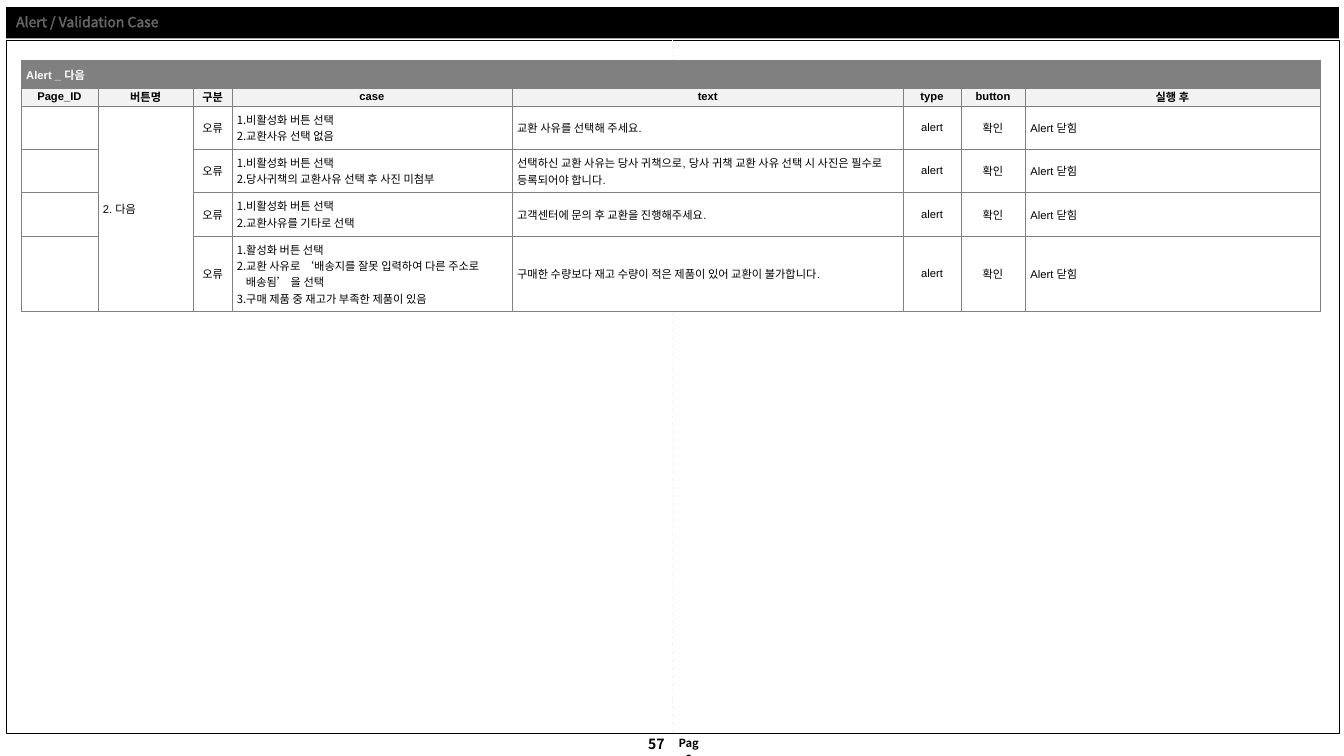
from dataclasses import dataclass

from lxml import etree
from pptx import Presentation
from pptx import util as u
from pptx.dml.color import RGBColor
from pptx.enum import dml, shapes, text
from pptx.oxml import ns


@dataclass(frozen=True)
class Theme:
    white: str = "FFFFFF"
    black: str = "000000"
    band: str = "808080"
    header: str = "F2F2F2"
    guide: str = "F2F2F2"
    latin: str = "Arial"
    korean: str = "Noto Sans CJK KR"
    small: int = 8
    normal: int = 10


THEME = Theme()
LEFT, CENTER, RIGHT = text.PP_ALIGN.LEFT, text.PP_ALIGN.CENTER, text.PP_ALIGN.RIGHT
MIDDLE = text.MSO_ANCHOR.MIDDLE

COLUMN_WIDTHS = [0.76, 0.95, 0.38, 2.78, 3.88, 0.57, 0.64, 2.92]
ROW_HEIGHTS = [0.27, 0.18, 0.43, 0.43, 0.43, 0.75]
HEADINGS = ["Page_ID", "버튼명", "구분", "case", "text", "type", "button", "실행 후"]
ALERTS = [
    (["비활성화 버튼 선택", "교환사유 선택 없음"],
     "교환 사유를 선택해 주세요."),
    (["비활성화 버튼 선택", "당사귀책의 교환사유 선택 후 사진 미첨부"],
     "선택하신 교환 사유는 당사 귀책으로, 당사 귀책 교환 사유 선택 시 사진은 필수로 등록되어야 합니다."),
    (["비활성화 버튼 선택", "교환사유를 기타로 선택"],
     "고객센터에 문의 후 교환을 진행해주세요."),
    (["활성화 버튼 선택",
      "교환 사유로 ‘배송지를 잘못 입력하여 다른 주소로 배송됨’ 을 선택",
      "구매 제품 중 재고가 부족한 제품이 있음"],
     "구매한 수량보다 재고 수량이 적은 제품이 있어 교환이 불가합니다."),
]


def apply(target, values):
    for name, value in values.items():
        setattr(target, name, value)


def color(value):
    return RGBColor.from_string(value)


def paint(target, value):
    target.fill.solid()
    target.fill.fore_color.rgb = color(value)


def add_xml(parent, tag, **attributes):
    return etree.SubElement(parent, ns.qn(tag), attributes)


def write(para, words, size=THEME.small, font=THEME.korean, ink=THEME.black,
          bold=False, align=LEFT):
    """Add one formatted run to a paragraph."""
    para.alignment = align
    span = para.add_run()
    span.text = words
    apply(span.font, {"size": u.Pt(size), "name": font, "bold": bold})
    span.font.color.rgb = color(ink)
    add_xml(span.font._element, "a:ea", typeface=THEME.korean)
    return span


def number(para):
    """Number a paragraph with a hanging indent."""
    props = para._p.get_or_add_pPr()
    apply_indent = u.Inches(0.09)
    props.set("marL", str(apply_indent))
    props.set("indent", str(-apply_indent))
    add_xml(props, "a:buFont", typeface="+mj-lt")
    add_xml(props, "a:buAutoNum", type="arabicPeriod")


def add_label(page, words, left, top, width, height, margins, **style):
    box = page.shapes.add_textbox(*map(u.Inches, (left, top, width, height)))
    frame = box.text_frame
    side, edge = map(u.Inches, margins)
    apply(frame, {"word_wrap": True, "margin_left": side, "margin_right": side,
                  "margin_top": edge, "margin_bottom": edge})
    write(frame.paragraphs[0], words, bold=True, **style)


def add_title(page, words):
    title = page.shapes.title
    apply(title, {"left": u.Inches(0.06), "top": u.Inches(0.07),
                  "width": u.Inches(13.22), "height": u.Inches(0.31)})
    paint(title, THEME.black)
    apply(title.text_frame, {"vertical_anchor": MIDDLE, "word_wrap": True,
                             "auto_size": text.MSO_AUTO_SIZE.NONE})
    para = title.text_frame.paragraphs[0]
    para.line_spacing = 0.9
    span = write(para, words, size=THEME.normal, ink=THEME.white)
    # Translucent outline around the letters
    outline = etree.Element(ns.qn("a:ln"), {"w": str(u.Pt(0.75))})
    tint = add_xml(add_xml(outline, "a:solidFill"), "a:srgbClr", val=THEME.white)
    add_xml(tint, "a:alpha", val="40000")
    span.font._element.insert(0, outline)


def add_frame(page):
    frame = page.shapes.add_shape(
        shapes.MSO_SHAPE.RECTANGLE, *map(u.Inches, (0.06, 0.4, 13.22, 6.87)))
    frame.shadow.inherit = False
    paint(frame, THEME.white)
    frame.line.color.rgb = color(THEME.black)
    frame.line.width = u.Pt(0.25)
    return frame


def add_guide(page, frame):
    """Draw the centre line between the frame's bottom and top."""
    guide = page.shapes.add_connector(
        shapes.MSO_CONNECTOR.STRAIGHT, *map(u.Inches, (6.67, 7.27, 6.67, 0.4)))
    guide.begin_connect(frame, 2)
    guide.end_connect(frame, 0)
    guide.line.color.rgb = color(THEME.guide)
    apply(guide.line, {"width": u.Pt(0.5), "dash_style": dml.MSO_LINE.DASH_DOT})
    add_xml(guide._element.spPr, "a:effectLst")


def style_cell(cell, fill, margin=0.0):
    edge = u.Inches(margin)
    apply(cell, {"vertical_anchor": MIDDLE, "margin_left": edge, "margin_right": edge,
                 "margin_top": edge, "margin_bottom": edge})
    props = cell._tc.get_or_add_tcPr()
    for side in ("a:lnL", "a:lnR", "a:lnT", "a:lnB"):
        border = add_xml(props, side, w=str(u.Pt(0.25)))
        add_xml(add_xml(border, "a:solidFill"), "a:srgbClr", val=THEME.band)
    paint(cell, fill)


def fill_cell(cell, lines, numbered=False, spacing=None, **style):
    cell.margin_left = cell.margin_right = u.Inches(0.05)
    frame = cell.text_frame
    for index, words in enumerate(lines):
        para = frame.paragraphs[0] if index == 0 else frame.add_paragraph()
        if spacing:
            para.line_spacing = u.Pt(spacing)
        if numbered:
            number(para)
        write(para, words, **style)


def add_alert_table(page):
    holder = page.shapes.add_table(
        len(ROW_HEIGHTS), len(COLUMN_WIDTHS), u.Inches(0.21), u.Inches(0.6),
        u.Inches(sum(COLUMN_WIDTHS)), u.Inches(sum(ROW_HEIGHTS)))
    table = holder.table
    apply(table, {"first_row": False, "horz_banding": False})
    for column, width in zip(table.columns, COLUMN_WIDTHS):
        column.width = u.Inches(width)
    for row, height, fill in zip(table.rows, ROW_HEIGHTS,
                                 [THEME.band, THEME.header] + [THEME.white] * len(ALERTS)):
        row.height = u.Inches(height)
        for cell in row.cells:
            style_cell(cell, fill)

    # Band and headings
    table.cell(0, 0).merge(table.cell(0, len(HEADINGS) - 1))
    fill_cell(table.cell(0, 0), ["Alert _ 다음"], font=THEME.latin, ink=THEME.white, bold=True)
    for index, heading in enumerate(HEADINGS):
        fill_cell(table.cell(1, index), [heading], font=THEME.latin, bold=True, align=CENTER)

    # Button name and its alerts
    table.cell(2, 1).merge(table.cell(len(ROW_HEIGHTS) - 1, 1))
    fill_cell(table.cell(2, 1), ["2. 다음"], font=THEME.latin)
    for row, (cases, message) in enumerate(ALERTS, start=2):
        fill_cell(table.cell(row, 3), cases, numbered=True)
        fill_cell(table.cell(row, 4), [message], spacing=12, font=THEME.latin)
        for column, words in ((2, "오류"), (5, "alert"), (6, "확인")):
            fill_cell(table.cell(row, column), [words], font=THEME.latin, align=CENTER)
        fill_cell(table.cell(row, 7), ["Alert 닫힘"], font=THEME.latin)


def main():
    deck = Presentation()
    apply(deck, {"slide_width": u.Inches(13.33), "slide_height": u.Inches(7.5)})
    page = deck.slides.add_slide(deck.slide_layouts[0])
    subtitle = page.placeholders[1]._element
    subtitle.getparent().remove(subtitle)

    add_title(page, "Alert / Validation Case")
    add_guide(page, add_frame(page))
    # Page number
    add_label(page, "Page", 6.61, 7.26, 0.44, 0.23, (0.09, 0.05), align=CENTER)
    add_label(page, "57", 6.12, 7.25, 0.57, 0.27, (0.1, 0.05),
              size=THEME.normal, align=RIGHT)
    add_alert_table(page)
    deck.save("out.pptx")


if __name__ == "__main__":
    main()
